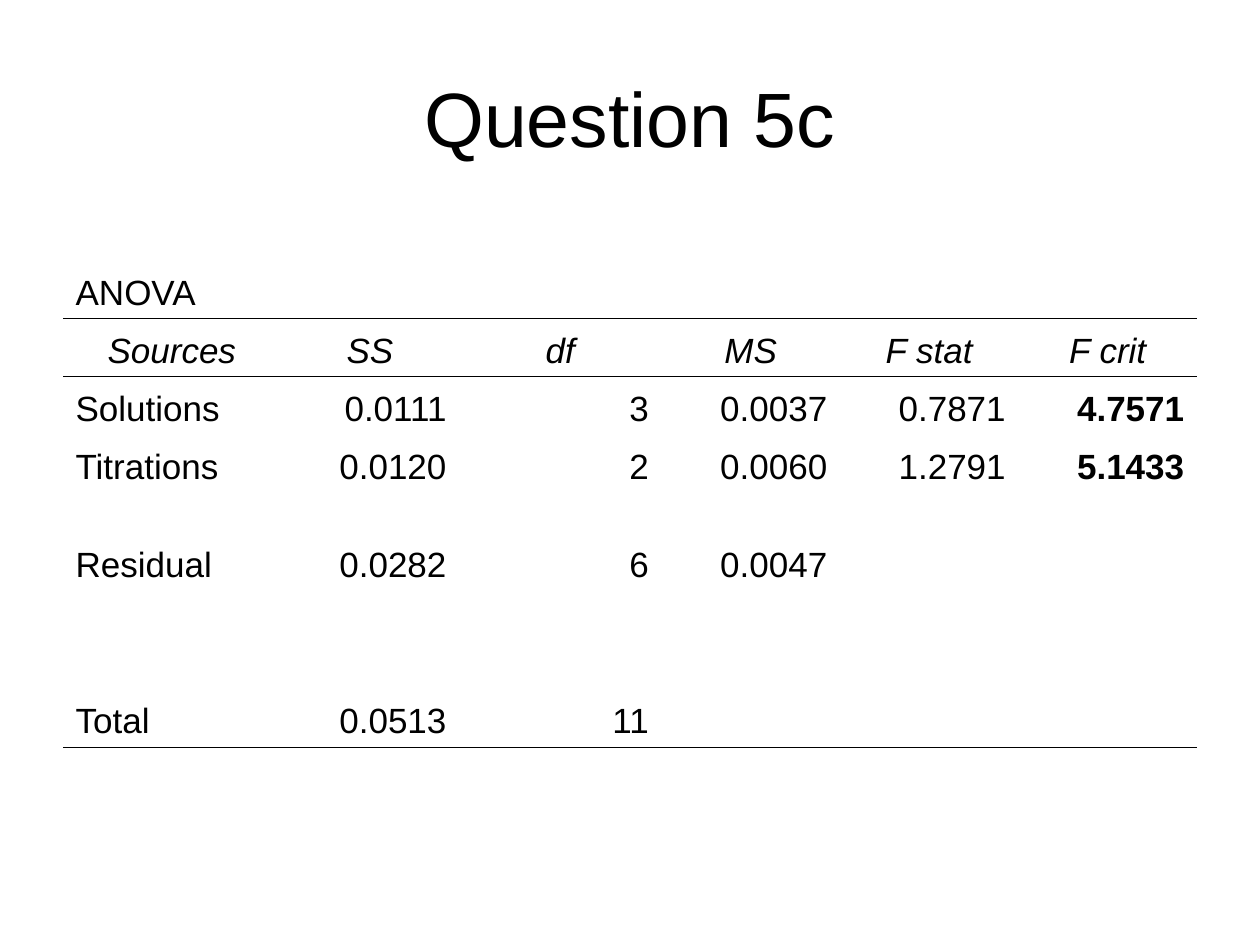
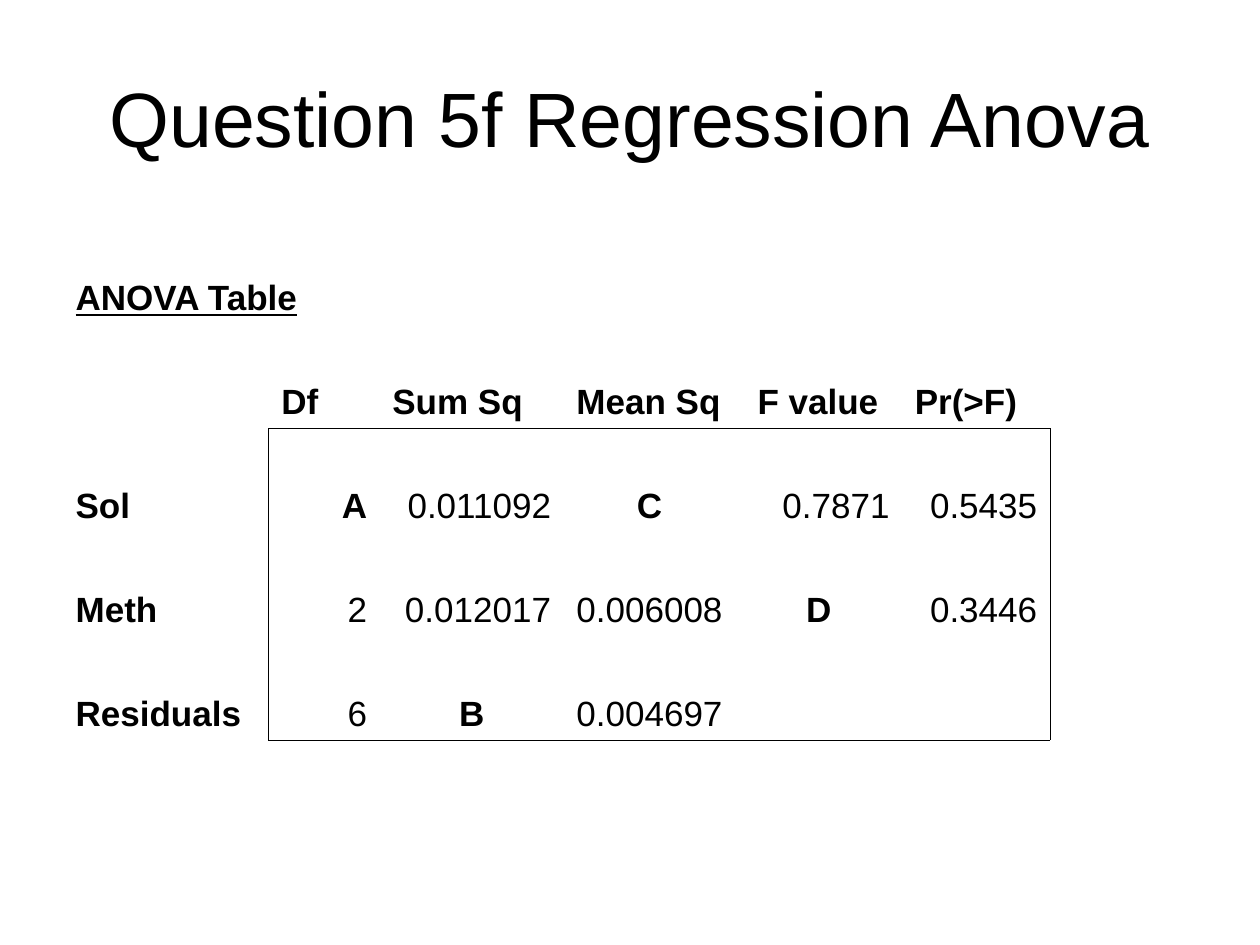
from lxml import etree
from pptx import Presentation
from pptx import util as u
from pptx.dml.color import RGBColor
from pptx.enum import text
from pptx.oxml.ns import qn

INK = "000000"
FONT = "Arial"
LEFT, WIDTH = 36, 648
NO_STYLE_NO_GRID = "{2D5ABB26-0587-4C30-8999-92F81FD0307C}"
LEFTWARD, CENTRED, RIGHTWARD = text.PP_ALIGN.LEFT, text.PP_ALIGN.CENTER, text.PP_ALIGN.RIGHT

VARIANCE_ROWS = [
    ("ANOVA", "", "", "", "", ""),
    ("Sources", "SS", "df", "MS", "F stat", "F crit"),
    ("Solutions", "0.0111", "3", "0.0037", "0.7871", "4.7571"),
    ("Titrations", "0.0120", "2", "0.0060", "1.2791", "5.1433"),
    ("Residual", "0.0282", "6", "0.0047", "", ""),
    ("", "", "", "", "", ""),
    ("Total", "0.0513", "11", "", "", ""),
    ("", "", "", "", "", ""),
]
REGRESSION_ROWS = [
    ("ANOVA Table", "", "", "", "", "", ""),
    ("", "Df", "Sum Sq", "Mean Sq", " F value", "Pr(>F)", ""),
    ("Sol", "A", "0.011092", "C", "0.7871", "0.5435", ""),
    ("Meth", "2", "0.012017", "0.006008", "D", "0.3446", ""),
    ("Residuals", "6", "B", "0.004697", "", "", ""),
    ("", "", "", "", "", "", ""),
]


def colour(code):
    """Turn a hex string into a colour."""
    return RGBColor.from_string(code)


def write(frame, words, size=20, align=LEFTWARD, bold=False, italic=False, underline=False):
    """Put one formatted paragraph into a text frame."""
    paragraph = frame.paragraphs[0]
    paragraph.alignment = align
    run = paragraph.add_run()
    run.text = words
    font = run.font
    font.name, font.size = FONT, u.Pt(size)
    font.bold, font.italic, font.underline = bold, italic, underline
    font.color.rgb = colour(INK)


def variance_format(row, column, words):
    """Centre the italic headings and embolden the critical values."""
    if row == 1:
        return dict(align=CENTRED, italic=True)
    return dict(align=RIGHTWARD if column else LEFTWARD, bold=column == 5)


def regression_format(row, column, words):
    """Embolden labels and the lettered gaps, and align numbers right."""
    if row < 2 or column == 0:
        return dict(bold=True, underline=row == 0)
    return dict(align=CENTRED if words in "BCD" else RIGHTWARD, bold=words.isalpha())


class Deck:
    """Hold the shared style and the current slide."""

    def __init__(self):
        """Start an empty 10 by 7.5 inch presentation."""
        self.show = Presentation()
        self.show.slide_width, self.show.slide_height = u.Pt(720), u.Pt(540)

    def page(self, heading):
        """Add a slide with its centred heading."""
        self.slide = self.show.slides.add_slide(self.show.slide_layouts[6])
        box = self.slide.shapes.add_textbox(u.Pt(LEFT), u.Pt(21.6), u.Pt(WIDTH), u.Pt(90))
        box.text_frame.word_wrap = True
        box.text_frame.vertical_anchor = text.MSO_ANCHOR.MIDDLE
        write(box.text_frame, heading, size=44, align=CENTRED)

    def rule(self, cell, side):
        """Draw a hairline on one side of a cell."""
        line = etree.SubElement(cell._tc.get_or_add_tcPr(), qn("a:" + side), w=str(u.Pt(0.45)))
        fill = etree.SubElement(line, qn("a:solidFill"))
        etree.SubElement(fill, qn("a:srgbClr"), val=INK)

    def table(self, rows, widths, heights, cell_format, rules):
        """Add an unfilled table, ruled by (side, rows, columns)."""
        frame = self.slide.shapes.add_table(
            len(rows), len(widths), u.Pt(LEFT), u.Pt(126), u.Pt(WIDTH), u.Pt(sum(heights)))
        grid = frame.table
        grid.first_row = grid.horz_banding = False
        grid._tbl.tblPr.find(qn("a:tableStyleId")).text = NO_STYLE_NO_GRID
        for column, width in zip(grid.columns, widths):
            column.width = u.Pt(width)
        for line, height in zip(grid.rows, heights):
            line.height = u.Pt(height)
        for r, values in enumerate(rows):
            for c, words in enumerate(values):
                cell = grid.cell(r, c)
                cell.vertical_anchor = text.MSO_ANCHOR.BOTTOM
                for side, ruled_rows, ruled_columns in rules:
                    if r in ruled_rows and c in ruled_columns:
                        self.rule(cell, side)
                cell.fill.background()
                if words:
                    write(cell.text_frame, words, **cell_format(r, c, words))
        return grid


def main():
    """Build both slides and save them."""
    deck = Deck()

    deck.page("Question 5c")
    tall, low = 56.1, 33.2
    deck.table(VARIANCE_ROWS, [124.4, 102, 115.6, 102, 102, 102],
               [tall, low, low, low, tall, tall, low, tall],
               variance_format, [("lnB", (0, 1, 6), range(6))])

    deck.page("Question 5f Regression Anova")
    framed_rows, framed_columns = range(2, 5), range(1, 6)
    regression = deck.table(
        REGRESSION_ROWS, [117.6, 63.4, 105.2, 98, 95.4, 84.4, 84], [59.4] * 6,
        regression_format,
        [("lnR", framed_rows, (0, 5)), ("lnB", (1, 4), framed_columns)])
    regression.cell(0, 0).merge(regression.cell(0, 1))

    deck.show.save("out.pptx")


if __name__ == "__main__":
    main()
